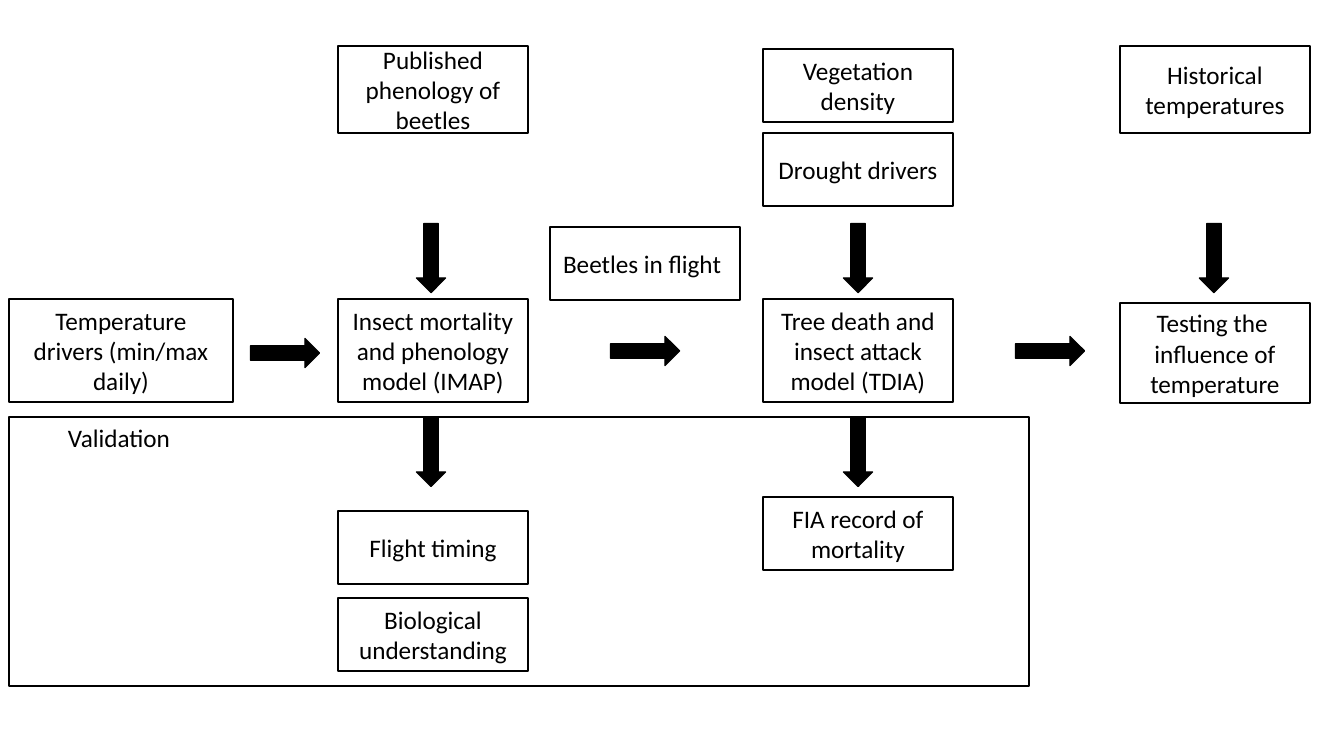
from typing import NamedTuple

from pptx import Presentation
from pptx.dml.color import RGBColor
from pptx.enum.shapes import MSO_SHAPE as Preset
from pptx.enum.text import MSO_ANCHOR as Anchor, MSO_AUTO_SIZE as AutoSize, PP_ALIGN as Align
from pptx.util import Emu, Pt

BLACK = RGBColor(0x00, 0x00, 0x00)
WHITE = RGBColor(0xFF, 0xFF, 0xFF)
FONT, TEXT_SIZE = "Calibri", Pt(18)
PAGE_WIDTH, PAGE_HEIGHT = 1344, 756
EMU_PER_PIXEL = 12192000 / PAGE_WIDTH

# Columns of the flow chart and the sizes shared by its parts
DRIVERS, INSECTS, FLIGHT, TREES, TESTING = 9, 338, 550, 763, 1120
BOX_WIDTH, LOW, MIDDLE, TALL = 190, 73, 87, 103
MODEL_TOP = 299
ARROW_LENGTH, ARROW_THICKNESS = 69, 29


class Box(NamedTuple):
    """A labelled step of the flow chart."""
    text: str
    left: int
    top: int
    height: int = LOW
    width: int = BOX_WIDTH


class Arrow(NamedTuple):
    """A block arrow placed by its centre."""
    center_x: int
    center_y: int
    rotation: int = 0


VALIDATION_FRAME = Box("", DRIVERS, 417, 269, 1020)

BOXES = [
    Box("Insect mortality and phenology model (IMAP)", INSECTS, MODEL_TOP, TALL),
    Box("Tree death and insect attack model (TDIA)", TREES, MODEL_TOP, TALL),
    Box("Temperature drivers (min/max daily)", DRIVERS, MODEL_TOP, TALL, 224),
    Box("Biological understanding", INSECTS, 598),
    Box("FIA record of mortality", TREES, 497),
    Box("Published phenology of beetles", INSECTS, 46, MIDDLE),
    Box("Drought drivers", TREES, 133),
    Box("Vegetation density", TREES, 49),
    Box("Flight timing", INSECTS, 511),
    Box("Beetles in flight ", FLIGHT, 227),
    Box("Testing the  influence of temperature", TESTING, 303, 100),
    Box("Historical temperatures", TESTING, 46, MIDDLE),
]

ARROWS = [
    Arrow(285, 353), Arrow(645, 351), Arrow(1050, 351),
    *(Arrow(x, 258, 90) for x in (431, 858, 1214)),
    *(Arrow(x, 452, 90) for x in (431, 858)),
]


def px(pixels: float) -> Emu:
    """Turn pixels into EMU."""
    return Emu(round(pixels * EMU_PER_PIXEL))


def add_text(shape, text: str, align: Align) -> None:
    """Write one black run into a shape."""
    frame = shape.text_frame
    frame.word_wrap = True
    para = frame.paragraphs[0]
    para.alignment = align
    span = para.add_run()
    span.text = text
    span.font.name, span.font.size = FONT, TEXT_SIZE
    span.font.color.rgb = BLACK


def add_preset(page, preset: Preset, bounds: tuple, fill: RGBColor):
    """Draw a flat preset shape with a thin black outline."""
    shape = page.shapes.add_shape(preset, *map(px, bounds))
    shape.shadow.inherit = False
    shape.fill.solid()
    shape.fill.fore_color.rgb = fill
    shape.line.color.rgb = BLACK
    shape.line.width = Pt(1)
    return shape


def draw_box(page, box: Box) -> None:
    """Draw a white box with its centred label, if any."""
    bounds = (box.left, box.top, box.width, box.height)
    shape = add_preset(page, Preset.RECTANGLE, bounds, WHITE)
    if box.text:
        shape.text_frame.vertical_anchor = Anchor.MIDDLE
        add_text(shape, box.text, Align.CENTER)


def draw_arrow(page, arrow: Arrow) -> None:
    """Draw a black block arrow around its centre."""
    bounds = (arrow.center_x - ARROW_LENGTH / 2, arrow.center_y - ARROW_THICKNESS / 2,
              ARROW_LENGTH, ARROW_THICKNESS)
    add_preset(page, Preset.RIGHT_ARROW, bounds, BLACK).rotation = arrow.rotation


def draw_label(page, text: str, bounds: tuple) -> None:
    """Add a left-aligned text box that grows with its text."""
    label = page.shapes.add_textbox(*map(px, bounds))
    label.text_frame.auto_size = AutoSize.SHAPE_TO_FIT_TEXT
    add_text(label, text, Align.LEFT)


def main() -> None:
    """Build the slide and save the deck."""
    deck = Presentation()
    deck.slide_width, deck.slide_height = px(PAGE_WIDTH), px(PAGE_HEIGHT)
    page = deck.slides.add_slide(deck.slide_layouts[6])
    for box in [VALIDATION_FRAME, *BOXES]:
        draw_box(page, box)
    for arrow in ARROWS:
        draw_arrow(page, arrow)
    draw_label(page, "Validation ", (58, 417, 256, 40))
    deck.save("out.pptx")


main()
